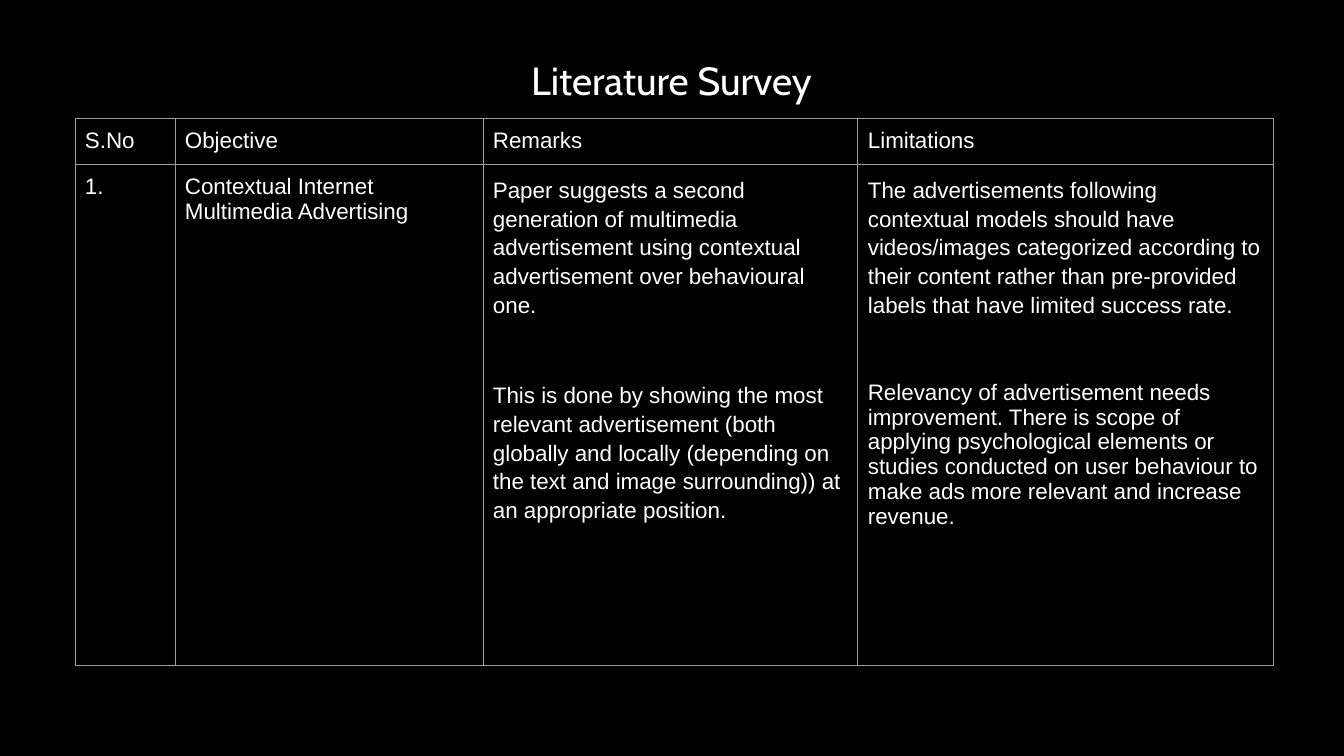
from dataclasses import dataclass

from lxml.etree import SubElement
from pptx import Presentation
from pptx.dml.color import RGBColor
from pptx.enum.text import MSO_ANCHOR, PP_ALIGN
from pptx.oxml.ns import qn
from pptx.util import Emu, Pt

EMU_PER_PX = 914400 / 100.8
SLIDE_SIZE = (1344, 756)
TITLE_BOX = (145, 56, 1053, 47)
TABLE_CORNER = (75, 118)
COLUMN_WIDTHS = (100, 308, 375, 416)
ROW_HEIGHTS = (45, 501)
CELL_MARGIN = 10


@dataclass(frozen=True)
class Theme:
    background: RGBColor = RGBColor(0x00, 0x00, 0x00)
    text: RGBColor = RGBColor(0xFF, 0xFF, 0xFF)
    border: str = "9E9E9E"
    border_width: Pt = Pt(0.75)
    title_font: str = "Cabin"
    title_size: Pt = Pt(28)
    body_font: str = "Arial"
    body_size: Pt = Pt(16)
    loose_spacing: float = 1.15
    section_gap: Pt = Pt(44.4)


THEME = Theme()

HEADERS = ("S.No", "Objective", "Remarks", "Limitations")
REMARKS = (
    "Paper suggests a second generation of multimedia advertisement using "
    "contextual advertisement over behavioural one.",
    "This is done by showing the most relevant advertisement (both globally and "
    "locally (depending on the text and image surrounding)) at an appropriate position.",
)
LIMITATIONS = (
    "The advertisements following contextual models should have videos/images "
    "categorized according to their content rather than pre-provided labels that "
    "have limited success rate.",
    "Relevancy of advertisement needs improvement. There is scope of applying "
    "psychological elements or studies conducted on user behaviour to make ads "
    "more relevant and increase revenue.",
)
SURVEY_ROW = (
    "1.",
    "Contextual Internet Multimedia Advertising",
    "\n".join(REMARKS),
    "\n".join(LIMITATIONS),
)


def px(length):
    return Emu(round(length * EMU_PER_PX))


def set_margins(target, margin):
    target.margin_left = target.margin_right = px(margin)
    target.margin_top = target.margin_bottom = px(margin)


def format_runs(paragraph, font_name, size):
    for run in paragraph.runs:
        run.font.name = font_name
        run.font.size = size
        run.font.color.rgb = THEME.text


def add_title(slide, text):
    text_frame = slide.shapes.add_textbox(*map(px, TITLE_BOX)).text_frame
    text_frame.word_wrap = True
    text_frame.vertical_anchor = MSO_ANCHOR.MIDDLE
    set_margins(text_frame, 0)
    text_frame.text = text
    paragraph = text_frame.paragraphs[0]
    paragraph.alignment = PP_ALIGN.CENTER
    format_runs(paragraph, THEME.title_font, THEME.title_size)


def add_borders(cell):
    """Outline the cell; border elements must precede its fill."""
    properties = cell._tc.get_or_add_tcPr()
    for side in ("a:lnL", "a:lnR", "a:lnT", "a:lnB"):
        line = SubElement(properties, qn(side), w=str(THEME.border_width))
        fill = SubElement(line, qn("a:solidFill"))
        SubElement(fill, qn("a:srgbClr"), val=THEME.border)


def fill_cell(cell, text):
    set_margins(cell, CELL_MARGIN)
    add_borders(cell)
    cell.fill.background()
    cell.text = text
    for paragraph in cell.text_frame.paragraphs:
        format_runs(paragraph, THEME.body_font, THEME.body_size)


def space_sections(cell, loose_count):
    """Separate the cell's paragraphs and loosen the lines of the first few."""
    paragraphs = cell.text_frame.paragraphs
    for paragraph in paragraphs[:loose_count]:
        paragraph.line_spacing = THEME.loose_spacing
    for paragraph in paragraphs[1:]:
        paragraph.space_before = THEME.section_gap


def add_survey_table(slide, rows):
    size = (sum(COLUMN_WIDTHS), sum(ROW_HEIGHTS))
    table = slide.shapes.add_table(
        len(rows), len(COLUMN_WIDTHS), *map(px, TABLE_CORNER + size)
    ).table
    table.first_row = table.horz_banding = False
    for column, width in zip(table.columns, COLUMN_WIDTHS):
        column.width = px(width)
    for row, height, texts in zip(table.rows, ROW_HEIGHTS, rows):
        row.height = px(height)
        for cell, text in zip(row.cells, texts):
            fill_cell(cell, text)
    return table


def main():
    presentation = Presentation()
    presentation.slide_width, presentation.slide_height = map(px, SLIDE_SIZE)
    slide = presentation.slides.add_slide(presentation.slide_layouts[6])
    background = slide.background.fill
    background.solid()
    background.fore_color.rgb = THEME.background
    add_title(slide, "Literature Survey")
    table = add_survey_table(slide, (HEADERS, SURVEY_ROW))
    space_sections(table.cell(1, 2), loose_count=2)
    space_sections(table.cell(1, 3), loose_count=1)
    presentation.save("out.pptx")


if __name__ == "__main__":
    main()
